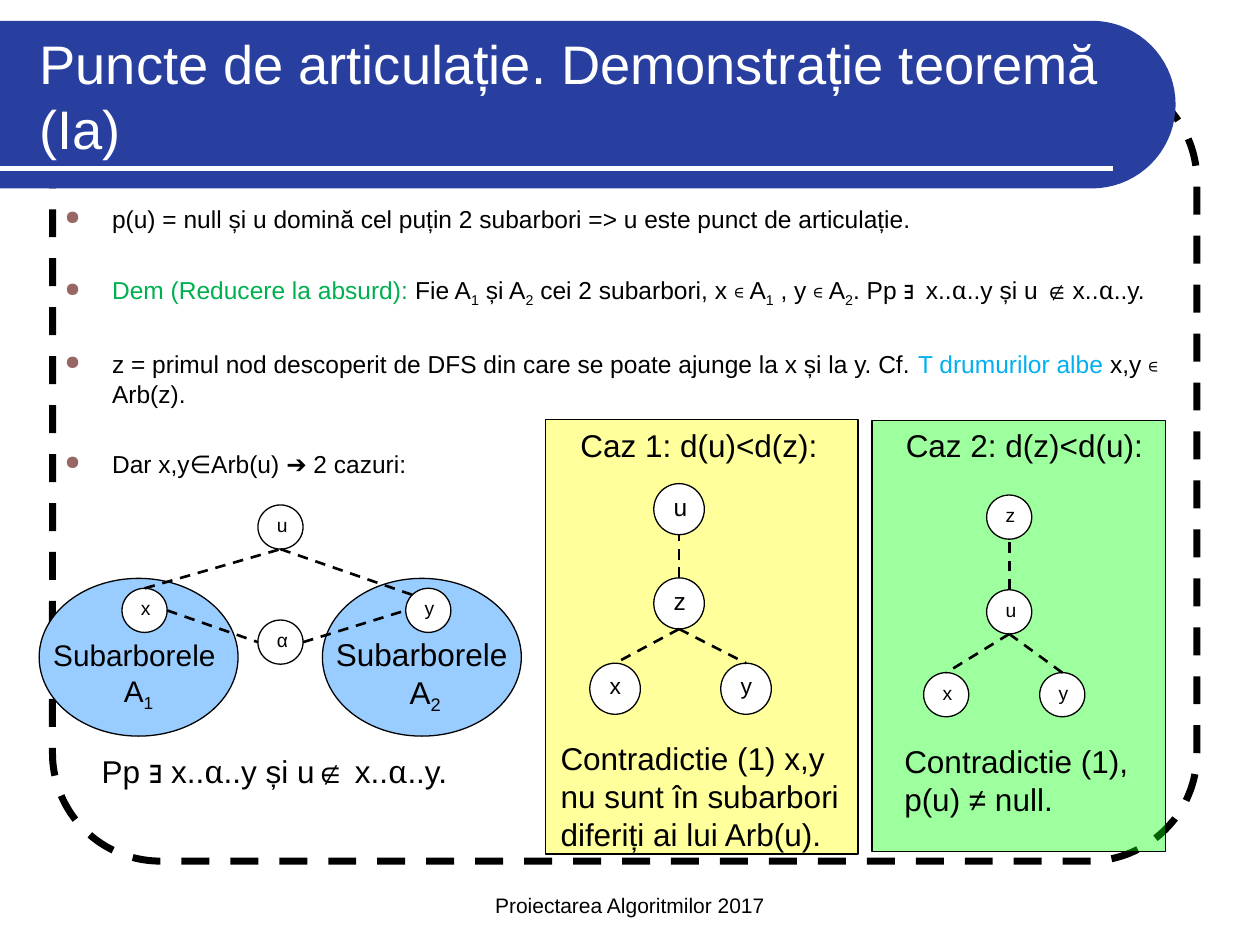
import math

import lxml.etree
import pptx
import pptx.dml.color
import pptx.enum.dml
import pptx.enum.shapes
import pptx.enum.text
import pptx.oxml.ns
import pptx.util

Cm, Pt = pptx.util.Cm, pptx.util.Pt
RGB = pptx.dml.color.RGBColor.from_string
qn = pptx.oxml.ns.qn
SHAPE = pptx.enum.shapes.MSO_SHAPE
ALIGN = pptx.enum.text.PP_ALIGN
ANCHOR = pptx.enum.text.MSO_ANCHOR
DASH = pptx.enum.dml.MSO_LINE.DASH

COLORS = {"black": "000000", "white": "FFFFFF", "banner": "283FA0", "bullet": "996666",
          "green": "00B050", "sky": "00B0F0", "yellow": "FFFF99", "lime": "00FF00",
          "tree": "99CCFF"}


def write(sp, paragraphs, size, color="black", align=ALIGN.LEFT, spacing=None, wrap=True):
    """Fill a shape with paragraphs; each is a list of strings or (string, style) runs."""
    tf = sp.text_frame
    tf.word_wrap = wrap
    for i, runs in enumerate(paragraphs):
        p = tf.paragraphs[0] if i == 0 else tf.add_paragraph()
        p.alignment = align
        if spacing:
            p.line_spacing = spacing
        for item in runs:
            text, style = (item, "") if isinstance(item, str) else item
            r = p.add_run()
            r.text = text
            r.font.name = "Cambria" if style == "math" else "Arial"
            r.font.size = Pt(size + 1 if style == "larger" else size)
            r.font.color.rgb = RGB(COLORS.get(style, COLORS[color]))
            if style == "sub":
                r.font._element.set("baseline", "-25000")
    return tf


def add_line(start, end, color="black", width=1.5, dash=DASH):
    line = s.shapes.add_connector(pptx.enum.shapes.MSO_CONNECTOR.STRAIGHT,
                                  Cm(start[0]), Cm(start[1]), Cm(end[0]), Cm(end[1]))
    line.line.color.rgb = RGB(COLORS[color])
    line.line.width = Pt(width)
    line.line.dash_style = dash
    lxml.etree.SubElement(line._element.spPr, qn("a:effectLst"))


prs = pptx.Presentation()
prs.slide_width, prs.slide_height = Cm(25.4), Cm(19.05)
s = prs.slides.add_slide(prs.slide_layouts[6])

# Dashed frame and banner with a half-round right end
frame = s.shapes.add_shape(SHAPE.ROUNDED_RECTANGLE, Cm(1.06), Cm(1.48), Cm(23.07), Cm(15.88))
frame.adjustments[0] = 0.137
frame.shadow.inherit = False
frame.fill.background()
frame.line.color.rgb = RGB(COLORS["black"])
frame.line.width = Pt(4)
frame.line.dash_style = DASH

top, radius, center_x = 0.42, 1.69, 22.01
arc = [(Cm(center_x + radius * math.cos(math.radians(a))),
        Cm(top + radius + radius * math.sin(math.radians(a)))) for a in range(-90, 91, 5)]
builder = s.shapes.build_freeform(0, Cm(top), scale=1.0)
builder.add_line_segments(arc + [(0, Cm(top + 2 * radius))], close=True)
banner = builder.convert_to_shape()
banner.shadow.inherit = False
banner.fill.solid()
banner.fill.fore_color.rgb = RGB(COLORS["banner"])
banner.line.fill.background()
add_line((0, 3.39), (22.44, 3.39), "white", 3, None)

# Footer, title and body
footer = s.shapes.add_textbox(Cm(8.68), Cm(17.36), Cm(8.04), Cm(1.27))
write(footer, [["Proiectarea Algoritmilor 2017"]], 12,
      align=ALIGN.CENTER).vertical_anchor = ANCHOR.BOTTOM

title = s.shapes.add_textbox(Cm(0.55), Cm(0.63), Cm(22.28), Cm(2.54))
write(title, [["Puncte de articula", ("ț", "larger"), "ie. Demonstra", ("ț", "larger"),
               "ie teoremă (Ia)"]], 31, "white").vertical_anchor = ANCHOR.MIDDLE

body = s.shapes.add_textbox(Cm(1.06), Cm(3.99), Cm(22.65), Cm(5.94))
tf = write(body, [
    ["p(u) = null și u domină cel puțin 2 subarbori => u este punct de articulație."],
    [("Dem (Reducere la absurd): ", "green"), "Fie A", ("1", "sub"), " și A", ("2", "sub"),
     " cei 2 subarbori, x ", ("∊ ", "math"), "A", ("1", "sub"), " , y ", ("∊", "math"), " A",
     ("2", "sub"), ". Pp ∃ x..", ("α", "math"), "..y și u ∉ x..", ("α", "math"), "..y."],
    ["z = primul nod descoperit de DFS din care se poate ajunge la x și la y. Cf. ",
     ("T drumurilor albe ", "sky"), "x,y ", ("∊", "math"), " Arb(z)."],
    ["Dar x,y∈Arb(u) ➔ 2 cazuri:"],
], 14)
for i, p in enumerate(tf.paragraphs):
    p.space_before = Pt(23.5 if i else 0)
    pPr = p._p.get_or_add_pPr()
    pPr.set("marL", str(Cm(0.95)))
    pPr.set("indent", str(-Cm(0.95)))
    color = lxml.etree.SubElement(pPr, qn("a:buClr"))
    lxml.etree.SubElement(color, qn("a:srgbClr"), val=COLORS["bullet"])
    lxml.etree.SubElement(pPr, qn("a:buSzPct"), val="80000")
    lxml.etree.SubElement(pPr, qn("a:buChar"), char="●")
    lxml.etree.SubElement(p._p, qn("a:endParaRPr"), sz="1400")

# Diagrams: backs (shape, box, fill, opacity %, label, label size, line spacing),
# nodes (name: left, top, text size), edges (node, side, node, side),
# captions (box, runs)
SIDES = {"top": (0.5, 0), "bottom": (0.5, 1), "left": (0, 0.5), "right": (1, 0.5),
         "corner": (0.15, 0.15)}
small = (0.91, 0.89)
diagrams = [
    {"backs": [(SHAPE.RECTANGLE, (11, 8.46, 6.3, 8.76), "yellow", 97, [], 18, None)],
     "node_size": (1.02, 1.03),
     "nodes": {"z": (13.18, 11.65, 14), "y": (14.53, 13.37, 13),
               "u": (13.18, 9.75, 14), "x": (11.89, 13.37, 13)},
     "edges": [("z", "top", "u", "bottom"), ("z", "bottom", "y", "top"),
               ("z", "bottom", "x", "top")],
     "captions": [((11.45, 8.46, 5.7, 1.02), ["Caz 1: d(u)<d(z):"]),
                  ((11.05, 14.78, 6.5, 2.54),
                   ["Contradictie (1) x,y nu sunt în subarbori diferiți ai lui Arb(u)."])]},
    {"backs": [(SHAPE.OVAL, (6.5, 11.66, 4.01, 3.18), "tree", 100,
                [["Subarborele"], [" A", ("2", "sub")]], 18, None),
               (SHAPE.OVAL, (0.79, 11.66, 4.01, 3.18), "tree", 100,
                [["Subarborele "], ["A", ("1", "sub")]], 17, 0.9)],
     "node_size": small,
     "nodes": {"x": (2.46, 11.86, 11), "y": (8.18, 11.86, 11),
               "u": (5.2, 10.18, 11), "α": (5.2, 12.5, 11)},
     "edges": [("x", "top", "u", "bottom"), ("u", "bottom", "y", "corner"),
               ("x", "right", "α", "left"), ("α", "right", "y", "left")],
     "captions": [((1.8, 15.04, 7.8, 1.02),
                   ["Pp ∃ x..", ("α", "math"), "..y și u∉ x..", ("α", "math"), "..y."])]},
    {"backs": [(SHAPE.RECTANGLE, (17.58, 8.48, 5.92, 8.69), "lime", 38, [], 18, None)],
     "node_size": small,
     "nodes": {"u": (19.89, 11.89, 11), "y": (20.96, 13.56, 11),
               "z": (19.89, 9.98, 11), "x": (18.62, 13.56, 11)},
     "edges": [("u", "top", "z", "bottom"), ("u", "bottom", "y", "top"),
               ("u", "bottom", "x", "top")],
     "captions": [((18.01, 8.46, 5.7, 1.02), ["Caz 2: d(z)<d(u):"]),
                  ((17.98, 14.83, 5.92, 1.78), ["Contradictie (1), p(u) ≠ null."])]},
]

for diagram in diagrams:
    width, height = diagram["node_size"]
    nodes = diagram["nodes"]
    circles = [(SHAPE.OVAL, (left, y, width, height), "white", 100, [[name]], size, 0.8)
               for name, (left, y, size) in nodes.items()]
    for kind, box, fill, opacity, label, size, spacing in diagram["backs"] + circles:
        sp = s.shapes.add_shape(kind, *map(Cm, box))
        sp.shadow.inherit = False
        sp.fill.solid()
        sp.fill.fore_color.rgb = RGB(COLORS[fill])
        if opacity < 100:
            rgb = sp.fill._xPr.find(".//" + qn("a:srgbClr"))
            lxml.etree.SubElement(rgb, qn("a:alpha"), val=str(opacity * 1000))
        sp.line.color.rgb = RGB(COLORS["black"])
        sp.line.width = Pt(0.75)
        is_tree = fill == "tree"
        tf = write(sp, label, size, align=ALIGN.CENTER if is_tree else ALIGN.LEFT,
                   spacing=spacing, wrap=not is_tree)
        tf.vertical_anchor = ANCHOR.MIDDLE if is_tree else ANCHOR.TOP
        if is_tree:
            tf.margin_top = Cm(0.85)
    for a, side_a, b, side_b in diagram["edges"]:
        add_line(*[(nodes[n][0] + SIDES[side][0] * width, nodes[n][1] + SIDES[side][1] * height)
                   for n, side in ((a, side_a), (b, side_b))])
    for box, runs in diagram["captions"]:
        write(s.shapes.add_textbox(*map(Cm, box)), [runs], 18)

prs.save("out.pptx")
